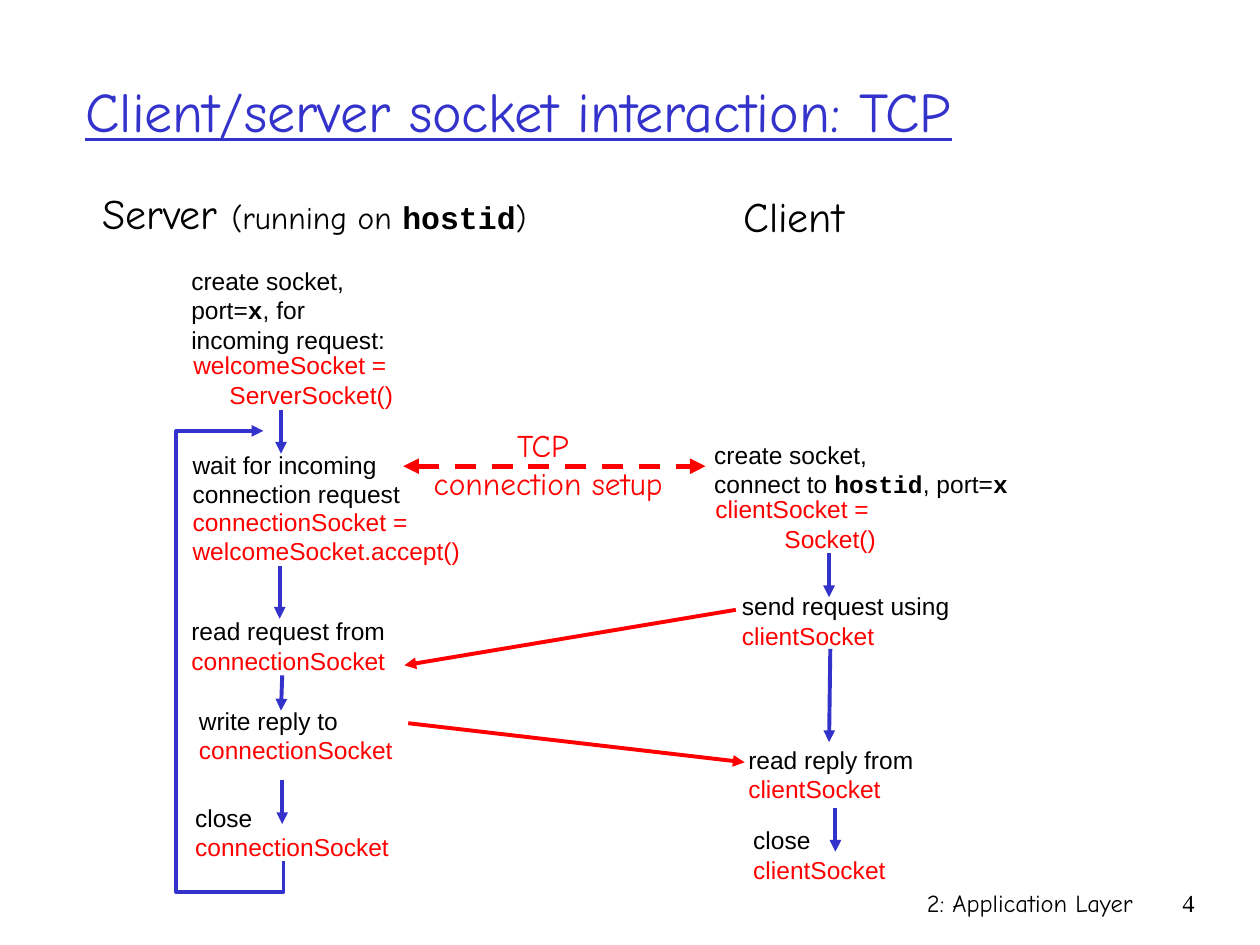
from dataclasses import dataclass
from typing import Any

from lxml import etree
from pptx import Presentation
from pptx.dml import color as dml
from pptx.enum import dml as dash
from pptx.enum import shapes, text
from pptx.oxml import ns
from pptx import util as u

SCALE = 9144


@dataclass(frozen=True)
class Theme:
    ink: str = "000000"
    blue: str = "3333CC"
    red: str = "FF0000"
    sans: str = "Arial"
    hand: str = "Comic Neue"
    mono: str = "Courier New"
    serif: str = "Times New Roman"
    title: int = 32
    head: int = 24
    note: int = 18
    body: int = 14
    line: float = 2.25
    thick: float = 3


T = Theme()
LEFT, MID, RIGHT = text.PP_ALIGN.LEFT, text.PP_ALIGN.CENTER, text.PP_ALIGN.RIGHT


@dataclass(frozen=True)
class Part:
    words: str
    color: str = T.ink
    font: str = T.sans
    size: int = T.body
    bold: bool = False
    under: bool = False


@dataclass(frozen=True)
class Label:
    x: int
    y: int
    w: int
    h: int
    lines: list[list[Part]]
    align: Any = LEFT
    space: float = 0
    wrap: bool = False
    top: bool = False


@dataclass(frozen=True)
class Arrow:
    x1: int
    y1: int
    x2: int
    y2: int
    color: str = T.blue
    width: float = T.line
    both: bool = False


def px(n: int) -> u.Emu:
    return u.Emu(n * SCALE)


def red(words: str) -> list[Part]:
    return [Part(words, T.red)]


def code(words: str, size: int = T.body) -> Part:
    return Part(words, font=T.mono, size=size, bold=True)


def hand(words: str, size: int, color: str = T.ink, under: bool = False) -> Part:
    return Part(words, color, T.hand, size, under=under)


def step(x: int, y: int, w: int, act: str, sock: str) -> Label:
    return Label(x, y, w, 57, [[Part(act)], red(sock)])


def write(slide: Any, label: Label) -> None:
    box = slide.shapes.add_textbox(px(label.x), px(label.y), px(label.w), px(label.h))
    frame = box.text_frame
    frame.word_wrap = label.wrap
    fit = text.MSO_AUTO_SIZE
    frame.auto_size = fit.NONE if label.wrap else fit.SHAPE_TO_FIT_TEXT
    frame.vertical_anchor = text.MSO_ANCHOR.TOP if label.top else text.MSO_ANCHOR.MIDDLE
    frame.text = "\n".join(line[0].words for line in label.lines)
    for para, line in zip(frame.paragraphs, label.lines):
        para.alignment = label.align
        para.space_before = u.Pt(label.space)
        for part in line[1:]:
            para.add_run().text = part.words
        for run, part in zip(para.runs, line):
            font = run.font
            font.name, font.size = part.font, u.Pt(part.size)
            font.bold, font.underline = part.bold, part.under
            font.color.rgb = dml.RGBColor.from_string(part.color)


def stroke(line: Any, color: str, width: float, both: bool = False) -> None:
    line.color.rgb = dml.RGBColor.from_string(color)
    line.width = u.Pt(width)
    if both:
        line.dash_style = dash.MSO_LINE.DASH
    for end in ["headEnd", "tailEnd"] if both else ["tailEnd"]:
        etree.SubElement(line._get_or_add_ln(), ns.qn(f"a:{end}"), type="triangle")


def draw(slide: Any, arrow: Arrow) -> None:
    link = slide.shapes.add_connector(
        shapes.MSO_CONNECTOR.STRAIGHT,
        px(arrow.x1), px(arrow.y1), px(arrow.x2), px(arrow.y2),
    )
    stroke(link.line, arrow.color, arrow.width, arrow.both)
    etree.SubElement(link._element.spPr, ns.qn("a:effectLst"))


def loop(slide: Any, points: list[tuple[int, int]]) -> None:
    route = slide.shapes.build_freeform(*points[0], scale=SCALE)
    route.add_line_segments(points[1:], close=False)
    shape = route.convert_to_shape()
    shape.fill.background()
    stroke(shape.line, T.blue, T.line)
    shape.shadow.inherit = False


LABELS = [
    Label(592, 700, 317, 50, [[hand("2: Application Layer", T.body)]],
          RIGHT, wrap=True, top=True),
    Label(908, 700, 50, 50, [[Part("4", font=T.serif)]], RIGHT, wrap=True, top=True),
    Label(58, 25, 850, 125,
          [[hand("Client/server socket interaction: TCP", T.title, T.blue, True)]],
          wrap=True),
    Label(71, 144, 357, 50,
          [[hand("Server ", T.head), hand("(running on ", T.note),
            code("hostid", T.note), hand(")", T.note)]], MID, 11.2),
    Label(580, 146, 100, 50, [[hand("Client", T.head)]], MID, 15),
    Label(142, 206, 174, 80,
          [[Part("create socket,")], [Part("port="), code("x"), Part(", for")],
           [Part("incoming request:")]]),
    Label(143, 273, 179, 57, [red("welcomeSocket = "), red("ServerSocket()")], RIGHT),
    Label(143, 352, 186, 57,
          [[Part("wait for incoming")], [Part("connection request")]]),
    Label(143, 397, 236, 57, [red("connectionSocket ="), red("welcomeSocket.accept()")]),
    Label(557, 344, 255, 57,
          [[Part("create socket,")],
           [Part("connect to "), code("hostid"), Part(", port="), code("x")]]),
    Label(556, 387, 149, 57, [red("clientSocket = "), red("Socket()")], RIGHT),
    step(142, 484, 175, "read request from", "connectionSocket"),
    step(148, 555, 175, "write reply to", "connectionSocket"),
    step(145, 632, 175, "close", "connectionSocket"),
    step(579, 464, 186, "send request using", "clientSocket"),
    step(584, 586, 152, "read reply from", "clientSocket"),
    step(588, 650, 126, "close", "clientSocket"),
    Label(334, 333, 202, 70,
          [[hand("TCP ", T.note, T.red)], [hand("connection setup", T.note, T.red)]], MID),
]

ARROWS = [
    Arrow(223, 325, 223, 360),
    Arrow(222, 449, 222, 491),
    Arrow(224, 536, 223, 564),
    Arrow(224, 619, 224, 654),
    Arrow(658, 439, 658, 474),
    Arrow(659, 515, 658, 589),
    Arrow(663, 641, 663, 676),
    Arrow(584, 484, 321, 528, T.red),
    Arrow(324, 574, 591, 605, T.red),
    Arrow(320, 370, 560, 370, T.red, T.thick, True),
]

RETURN = [(225, 683), (225, 708), (140, 708), (140, 342), (209, 342)]


def main() -> None:
    deck = Presentation()
    deck.slide_width, deck.slide_height = px(1000), px(750)
    slide = deck.slides.add_slide(deck.slide_layouts[6])
    for arrow in ARROWS:
        draw(slide, arrow)
    loop(slide, RETURN)
    for label in LABELS:
        write(slide, label)
    deck.save("out.pptx")


if __name__ == "__main__":
    main()
